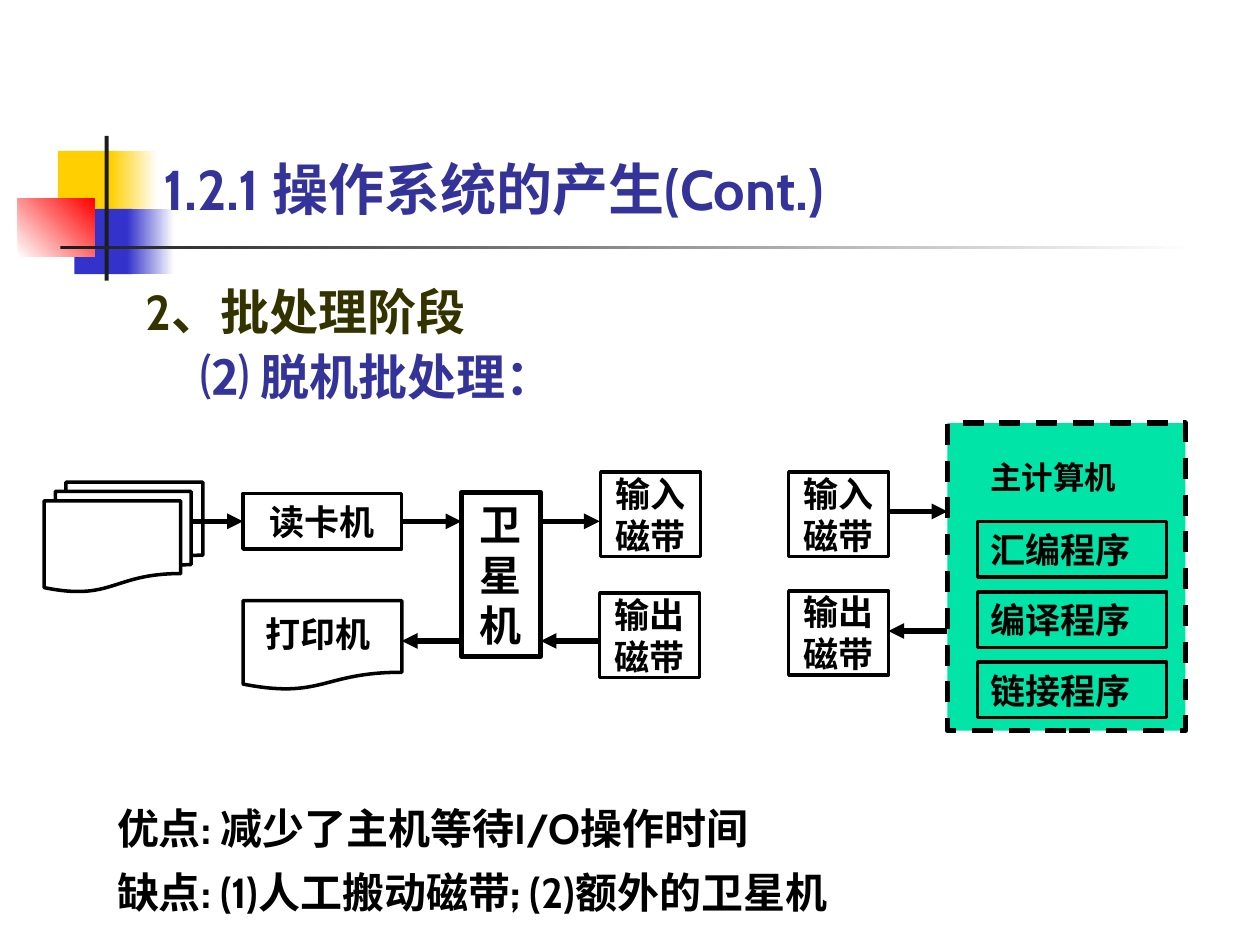
import pptx
import pptx.util
import pptx.dml.color
import pptx.enum.dml
import pptx.enum.shapes
import pptx.enum.text
import pptx.oxml.ns
import lxml.etree

Cm = pptx.util.Cm
Pt = pptx.util.Pt
RGBColor = pptx.dml.color.RGBColor
SHAPE = pptx.enum.shapes.MSO_SHAPE
ALIGN = pptx.enum.text.PP_ALIGN
qn = pptx.oxml.ns.qn

FONT = "Cabin"
BLACK = RGBColor(0x00, 0x00, 0x00)
WHITE = RGBColor(0xFF, 0xFF, 0xFF)
YELLOW = RGBColor(0xFF, 0xCF, 0x01)
BLUE = RGBColor(0x33, 0x33, 0xCC)
RED = RGBColor(0xFF, 0x00, 0x00)
CHARCOAL = RGBColor(0x1C, 0x1C, 0x1C)
GREEN = RGBColor(0x00, 0xE4, 0xA8)
INDIGO = RGBColor(0x33, 0x33, 0x99)
OLIVE = RGBColor(0x33, 0x33, 0x00)
THIN = 2
THICK = 3
TAPE_SIZE = (2.01, 1.7)


def write(shape, lines, size, align=ALIGN.LEFT, inset=(0.25, 0.13), before=0):
    frame = shape.text_frame
    frame.word_wrap = True
    frame.auto_size = pptx.enum.text.MSO_AUTO_SIZE.NONE
    frame.vertical_anchor = pptx.enum.text.MSO_ANCHOR.MIDDLE
    frame.margin_left = frame.margin_right = Cm(inset[0])
    frame.margin_top = frame.margin_bottom = Cm(inset[1])
    for index, (text, color) in enumerate(lines):
        paragraph = frame.add_paragraph() if index else frame.paragraphs[0]
        paragraph.text = text
        paragraph.alignment = align
        paragraph.space_before = Pt(before)
        paragraph.font.name = FONT
        paragraph.font.size = Pt(size)
        paragraph.font.bold = True
        paragraph.font.color.rgb = color


def add_text(slide, left, top, width, height, lines, size, before=0):
    box = slide.shapes.add_textbox(Cm(left), Cm(top), Cm(width), Cm(height))
    write(box, lines, size, before=before)
    return box


def add_box(slide, left, top, width, height, kind=SHAPE.RECTANGLE, fill=None, line=None):
    shape = slide.shapes.add_shape(kind, Cm(left), Cm(top), Cm(width), Cm(height))
    shape.shadow.inherit = False
    if fill is None:
        shape.fill.background()
    else:
        shape.fill.solid()
        shape.fill.fore_color.rgb = fill
    if line is None:
        shape.line.fill.background()
    else:
        shape.line.color.rgb = BLACK
        shape.line.width = Pt(line)
    return shape


def add_fade(slide, left, top, width, height, start, end, angle=0):
    shape = add_box(slide, left, top, width, height)
    shape.fill.gradient()
    shape.fill.gradient_angle = angle
    for stop, color in zip(shape.fill.gradient_stops, (start, end)):
        stop.color.rgb = color


def add_arrow(slide, start, end, y):
    arrow = slide.shapes.add_connector(
        pptx.enum.shapes.MSO_CONNECTOR.STRAIGHT, Cm(start), Cm(y), Cm(end), Cm(y))
    arrow.line.color.rgb = BLACK
    arrow.line.width = Pt(THICK)
    properties = arrow.element.find(qn("p:spPr"))
    tail = lxml.etree.SubElement(properties.find(qn("a:ln")), qn("a:tailEnd"))
    tail.set("type", "triangle")
    lxml.etree.SubElement(properties, qn("a:effectLst"))


def add_tape(slide, left, top, text):
    tape = add_box(slide, left, top, *TAPE_SIZE, line=THIN)
    write(tape, [(text, BLACK)], 20, ALIGN.CENTER, (0, 0))


def add_ornament(slide, left, top):
    for x, y, width, color in ((0.81, 0.3, 1.22, YELLOW), (1.14, 1.47, 1.17, BLUE)):
        add_box(slide, left + x, top + y, width, 1.32, fill=color)
        add_fade(slide, left + x + 1.06, top + y, 0.95, 1.32, color, WHITE)
    add_fade(slide, left, top + 1.27, 1.55, 1.17, WHITE, RED, 45)
    add_box(slide, left + 1.75, top, 0.08, 2.92, fill=CHARCOAL)
    add_fade(slide, left + 0.86, top + 2.21, 22.86, 0.08, CHARCOAL, WHITE)


def add_title(slide, left, top, width, height):
    title = slide.shapes.title
    title.left, title.top, title.width, title.height = map(Cm, (left, top, width, height))
    write(title, [("1.2.1 操作系统的产生(Cont.)", INDIGO)], 32, inset=(0, 0))
    title.element.getparent().append(title.element)


def add_heading(slide, left, top, width, height):
    lines = [("2、批处理阶段", OLIVE), ("⑵ 脱机批处理：", INDIGO)]
    box = add_text(slide, left, top, width, height, lines, 28, 3.5)
    properties = box.text_frame.paragraphs[1]._p.get_or_add_pPr()
    properties.set("marL", str(Cm(1.1)))
    properties.set("indent", "0")


def add_satellite_flow(slide, left, top):
    input_y, output_y = top + 0.99, top + 3.4
    add_box(slide, left, top + 0.2, 3.2, 2.21, SHAPE.FLOWCHART_MULTIDOCUMENT, WHITE, THIN)
    reader = add_box(slide, left + 4.01, top + 0.43, 3.2, 1.12, line=THIN)
    write(reader, [("读卡机", BLACK)], 20, ALIGN.CENTER)
    add_text(slide, left + 4.22, top + 2.69, 3, 1.12, [("打印机", BLACK)], 20)
    add_box(slide, left + 4.01, top + 2.59, 3.2, 1.8, SHAPE.FLOWCHART_DOCUMENT, line=THIN)
    satellite = add_box(slide, left + 8.41, top + 0.41, 1.6, 3.3, line=THICK)
    write(satellite, [("卫星机", BLACK)], 24, ALIGN.CENTER)
    add_tape(slide, left + 11.22, top, "输入磁带")
    add_tape(slide, left + 11.2, top + 2.44, "输出磁带")
    add_arrow(slide, left + 3, left + 4.01, input_y)
    for start, end in ((7.21, 8.41), (10.01, 11.2)):
        add_arrow(slide, left + start, left + end, input_y)
        add_arrow(slide, left + end, left + start, output_y)


def add_host_flow(slide, left, top):
    host = add_box(slide, left + 3.2, top, 4.8, 6.2, fill=GREEN, line=THICK)
    host.line.dash_style = pptx.enum.dml.MSO_LINE.DASH
    add_text(slide, left + 3.81, top + 0.58, 3.4, 1.02, [("主计算机", BLACK)], 18)
    for index, name in enumerate(("汇编程序", "编译程序", "链接程序")):
        program = add_box(slide, left + 3.81, top + 1.98 + 1.42 * index, 3.81, 1.12, line=THIN)
        write(program, [(name, BLACK)], 20)
    add_tape(slide, left, top + 0.99, "输入磁带")
    add_tape(slide, left, top + 3.38, "输出磁带")
    add_arrow(slide, left + 2.01, left + 3.2, top + 1.78)
    add_arrow(slide, left + 3.2, left + 2.01, top + 4.19)


def add_summary(slide, left, top, width, height):
    lines = [("优点: 减少了主机等待I/O操作时间", BLACK),
             ("缺点: (1)人工搬动磁带; (2)额外的卫星机", BLACK)]
    add_text(slide, left, top, width, height, lines, 24, 7.5)


presentation = pptx.Presentation()
presentation.slide_width = Cm(25.4)
presentation.slide_height = Cm(19.05)
slide = presentation.slides.add_slide(presentation.slide_layouts[5])
add_ornament(slide, 0.36, 2.74)
add_title(slide, 3.3, 3.12, 16.2, 1.35)
add_heading(slide, 2.69, 5.54, 12.7, 2.77)
add_satellite_flow(slide, 0.89, 9.52)
add_host_flow(slide, 15.9, 8.53)
add_summary(slide, 2.11, 16.05, 16.41, 2.57)
presentation.save("out.pptx")
